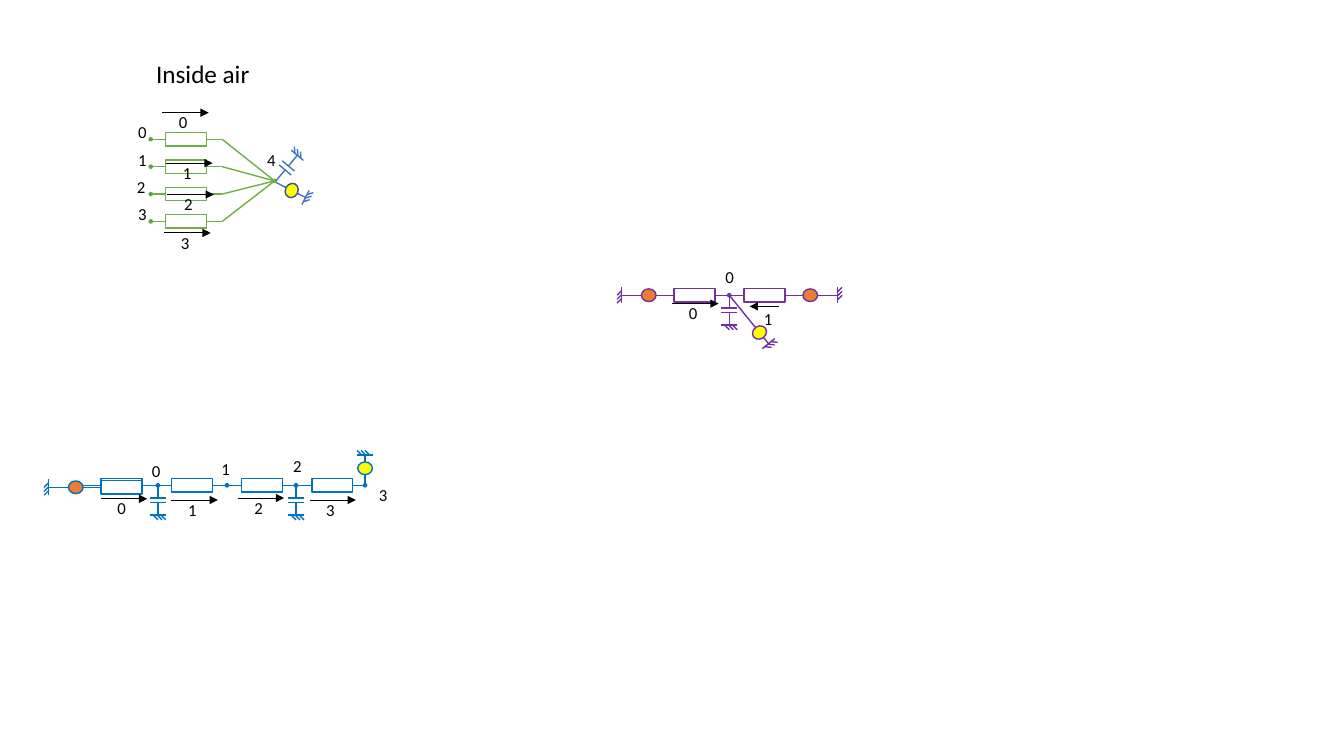
from dataclasses import dataclass
from math import cos, radians, sin

from lxml import etree
from pptx import Presentation
from pptx.dml.color import RGBColor
from pptx.enum import shapes, text
from pptx.oxml.ns import qn
from pptx.util import Cm, Pt


@dataclass(frozen=True)
class Theme:
    font: str = "Calibri"
    title_size: int = 18
    label_size: int = 12
    wire: float = 1
    arrow: float = 0.75
    ink: str = "000000"
    paper: str = "FFFFFF"
    node: str = "4472C4"
    air: str = "70AD47"
    air_load: str = "4472C4"
    air_rim: str = "325491"
    wall: str = "0070C0"
    window: str = "7030A0"
    temperature: str = "ED7D31"
    heat: str = "FFFF00"


def along(point, angle, ahead, aside=0):
    """Point reached by going ahead at the angle and aside, left of it."""
    a = radians(angle)
    return (point[0] + ahead * cos(a) + aside * sin(a),
            point[1] + ahead * sin(a) - aside * cos(a))


class CircuitSlide:
    BODY_W, BODY_H = 1.03, 0.34

    def __init__(self, slide, theme):
        self.slide, self.theme = slide, theme
        self.color = theme.ink

    # Basic elements
    def outline(self, kind, center, size, fill, rim=None, tilt=0):
        (x, y), (w, h) = center, size
        shape = self.slide.shapes.add_shape(
            kind, Cm(x - w / 2), Cm(y - h / 2), Cm(w), Cm(h))
        shape.rotation = tilt
        shape.shadow.inherit = False
        shape.fill.solid()
        shape.fill.fore_color.rgb = RGBColor.from_string(fill)
        shape.line.color.rgb = RGBColor.from_string(rim or self.color)
        shape.line.width = Pt(self.theme.wire)
        return shape

    def wire(self, start, end, leaving=None, reaching=None, color=None, width=None):
        line = self.slide.shapes.add_connector(
            shapes.MSO_CONNECTOR.STRAIGHT, *(Cm(v) for v in (*start, *end)))
        line.line.color.rgb = RGBColor.from_string(color or self.color)
        line.line.width = Pt(width or self.theme.wire)
        etree.SubElement(line._element.spPr, qn("a:effectLst"))
        if leaving:
            line.begin_connect(*leaving)
        if reaching:
            line.end_connect(*reaching)
        return line

    def set_words(self, frame, words, size, wrap=True):
        frame.text = words
        frame.word_wrap = wrap
        frame.auto_size = text.MSO_AUTO_SIZE.SHAPE_TO_FIT_TEXT
        frame.vertical_anchor = text.MSO_ANCHOR.TOP
        paragraph = frame.paragraphs[0]
        paragraph.alignment = text.PP_ALIGN.LEFT
        paragraph.font.name = self.theme.font
        paragraph.font.size = Pt(size)
        paragraph.font.color.rgb = RGBColor.from_string(self.theme.ink)

    def title(self, words, x, y, w, h):
        heading = self.slide.shapes.title
        heading.left, heading.top, heading.width, heading.height = map(Cm, (x, y, w, h))
        self.set_words(heading.text_frame, words, self.theme.title_size)

    def label(self, words, x, y, wrap=True):
        box = self.slide.shapes.add_textbox(Cm(x), Cm(y), Cm(0.74), Cm(0.76))
        self.set_words(box.text_frame, words, self.theme.label_size, wrap)

    # Circuit symbols
    def node(self, x, y):
        self.outline(shapes.MSO_SHAPE.OVAL, (x, y), (0.08, 0.08), self.theme.node)

    def resistor(self, left, y):
        return self.outline(shapes.MSO_SHAPE.RECTANGLE, (left + self.BODY_W / 2, y),
                            (self.BODY_W, self.BODY_H), self.theme.paper)

    def bar(self, point, angle, ahead=0):
        self.wire(along(point, angle, ahead, -0.2), along(point, angle, ahead, 0.2))

    def ground(self, point, angle):
        self.bar(point, angle)
        for aside in (-0.12, -0.02, 0.08):
            self.wire(along(point, angle, 0, aside), along(point, angle, 0.12, aside + 0.12))

    def capacitor(self, point, angle, lead=0.32, gap=0.11):
        earth = along(point, angle, 2 * lead + gap)
        self.wire(point, along(point, angle, lead))
        self.bar(point, angle, lead)
        self.bar(point, angle, lead + gap)
        self.wire(along(point, angle, lead + gap), earth)
        self.ground(earth, angle)

    def source(self, point, angle, middle, length, fill, tilt=0, rim=None, leaving=None):
        earth = along(point, angle, length)
        self.wire(point, earth, leaving)
        self.outline(shapes.MSO_SHAPE.OVAL, along(point, angle, middle),
                     (0.37, 0.32), fill, rim, tilt)
        self.ground(earth, angle)

    def boundary(self, left, y, angle):
        """Resistor leading to a temperature source, left (180) or right (0)."""
        body = self.resistor(left, y)
        outer = (left, y) if angle == 180 else (left + self.BODY_W, y)
        self.source(outer, angle, 0.64, 1.32, self.theme.temperature,
                    leaving=(body, 1 if angle == 180 else 3))
        return body

    def flow(self, words, x, y, length=1.17, shift=(0.17, -0.14)):
        arrow = self.wire((x, y), (x + length, y), color=self.theme.ink,
                          width=self.theme.arrow)
        etree.SubElement(arrow._element.spPr.find(qn("a:ln")), qn("a:tailEnd"),
                         type="triangle")
        self.label(words, min(x, x + length) + shift[0], y + shift[1], wrap=False)


# Inside air: four branches meeting at one hub
def draw_air(page):
    theme, hub = page.theme, (6.92, 4.56)
    page.title("Inside air", 3.68, 1.35, 3.35, 1.02)
    page.color = theme.air
    page.node(*hub)
    for row in range(4):
        y = 3.51 + 0.69 * row
        start, elbow = (3.8, y), (5.6, y)
        body = page.resistor(4.17, y)
        page.wire(elbow, elbow, leaving=(body, 3))
        page.wire(start, start, reaching=(body, 1))
        page.node(*start)
        page.wire(elbow, hub)
    page.color = theme.air_load
    page.capacitor((6.96, 4.55), -50, lead=0.35, gap=0.13)
    page.source((6.96, 4.6), 27, 0.44, 0.83, theme.heat, tilt=297, rim=theme.air_rim)
    for number, (x, y) in enumerate([(4.09, 2.84), (4.19, 4.11), (4.22, 4.9), (4.14, 5.87)]):
        page.flow(str(number), x, y)
    for number, (x, y) in enumerate(
            [(3.23, 2.95), (3.23, 3.66), (3.2, 4.32), (3.23, 5), (6.48, 3.66)]):
        page.label(str(number), x, y)


# Wall: four resistors in series
def draw_wall(page):
    y = 12.23
    page.color = page.theme.wall
    bodies = [page.resistor(2.55 + 1.77 * i, y) for i in range(4)]
    page.wire((1.8, y), (2.55, y), reaching=(bodies[0], 1))
    for body, following in zip(bodies, bodies[1:]):
        page.wire((0, y), (0, y), (body, 3), (following, 1))
    page.wire((8.89, y), (9.25, y), (bodies[-1], 3))
    page.boundary(2.55, 12.28, 180)
    nodes = [3.98 + 1.74 * i for i in range(4)]
    for x in nodes:
        page.node(x, y)
    for x in nodes[::2]:
        page.capacitor((x, y), 90)
    page.source((nodes[3], y), 270, 0.43, 0.76, page.theme.heat, tilt=180)
    for number, (x, top) in enumerate([(3.58, 11.48), (5.33, 11.43), (7.14, 11.35), (9.3, 12.09)]):
        page.label(str(number), x, top)
    for number, (x, top) in enumerate([(2.54, 12.57), (4.32, 12.6), (5.99, 12.55), (7.8, 12.6)]):
        page.flow(str(number), x, top)


# Window: one node between two boundaries
def draw_window(page):
    x, y = 18.38, 7.44
    page.color = page.theme.window
    for left, angle, inner in ((16.99, 180, 3), (18.75, 0, 1)):
        body = page.boundary(left, y, angle)
        page.wire((x, y), (x, y), leaving=(body, inner))
    page.node(x, y)
    page.source((x, y), 51, 1.21, 1.57, page.theme.heat, tilt=325)
    page.capacitor((x, y), 90)
    page.flow("1", 19.63, 7.72, length=-0.74, shift=(0.11, -0.07))
    page.flow("0", 16.94, 7.65)
    page.label("0", 18.03, 6.6)


def main():
    deck = Presentation()
    deck.slide_width, deck.slide_height = Cm(33.87), Cm(19.05)
    page = CircuitSlide(deck.slides.add_slide(deck.slide_layouts[5]), Theme())
    draw_air(page)
    draw_wall(page)
    draw_window(page)
    deck.save("out.pptx")


if __name__ == "__main__":
    main()
